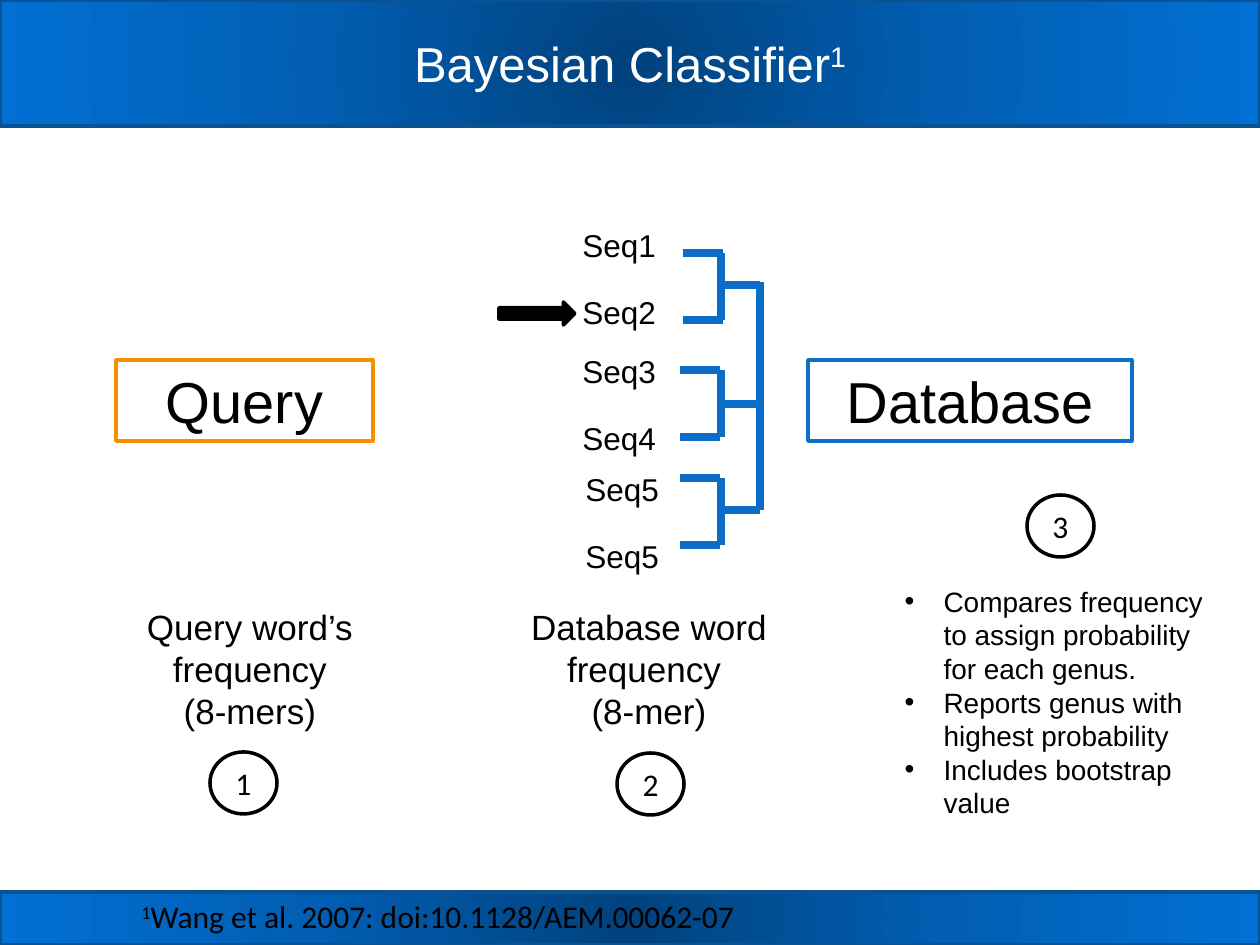
from lxml.etree import SubElement
from pptx import Presentation
from pptx.dml.color import RGBColor
from pptx.enum.shapes import MSO_CONNECTOR as Connector, MSO_SHAPE as Shape
from pptx.enum.text import MSO_ANCHOR as Anchor, MSO_AUTO_SIZE as AutoSize, PP_ALIGN as Align
from pptx.oxml import parse_xml
from pptx.oxml.ns import nsdecls, qn
from pptx.util import Pt

PX = 914400 / 126
BLACK, WHITE, BLUE, ORANGE = "000000", "FFFFFF", "0F6FC6", "F49100"
BRANCH, BAND_EDGE = "0A6DC6", "0B5292"
BAND_STOPS = ((0, "01427D"), (50, "015EB2"), (100, "0170D4"))


def px(*lengths):
    return [round(length * PX) for length in lengths]


def color(value):
    return RGBColor.from_string(value)


def place(part, box):
    part.left, part.top, part.width, part.height = px(*box)


def add_run(paragraph, text, size, font="Arial", ink=BLACK, raised=False):
    run = paragraph.add_run()
    run.text = text
    run.font.size = Pt(size)
    run.font.name = font
    run.font.color.rgb = color(ink)
    if raised:
        run._r.get_or_add_rPr().set("baseline", "30000")


def add_outlined(slide, kind, box, fill, edge):
    part = slide.shapes.add_shape(kind, *px(*box))
    part.shadow.inherit = False
    part.fill.solid()
    part.fill.fore_color.rgb = color(fill)
    part.line.color.rgb = color(edge)
    part.line.width = Pt(2)
    return part


def add_band(slide, box):
    band = add_outlined(slide, Shape.RECTANGLE, box, BLUE, BAND_EDGE)
    stops = "".join(
        f'<a:gs pos="{pos * 1000}"><a:srgbClr val="{value}"/></a:gs>'
        for pos, value in BAND_STOPS
    )
    gradient = parse_xml(
        f'<a:gradFill {nsdecls("a")} rotWithShape="1"><a:gsLst>{stops}</a:gsLst>'
        '<a:path path="circle"><a:fillToRect l="50000" t="50000" r="50000" b="50000"/>'
        "</a:path></a:gradFill>"
    )
    properties = band.element.spPr
    properties.replace(properties.find(qn("a:solidFill")), gradient)
    return band


def add_text(slide, box, lines, size, align=Align.LEFT):
    frame = slide.shapes.add_textbox(*px(*box)).text_frame
    frame.word_wrap = True
    for index, line in enumerate(lines):
        paragraph = frame.add_paragraph() if index else frame.paragraphs[0]
        paragraph.alignment = align
        add_run(paragraph, line, size)


def add_header(slide, box):
    title = slide.shapes.title
    title.element.addprevious(add_band(slide, box).element)
    left, top, width, height = box
    place(title, (left + 126, top, width - 252, height))
    title.text_frame.vertical_anchor = Anchor.MIDDLE
    heading = title.text_frame.paragraphs[0]
    heading.alignment = Align.CENTER
    add_run(heading, "Bayesian Classifier", 28, ink=WHITE)
    add_run(heading, "1", 28, ink=WHITE, raised=True)


def add_footer(slide, box):
    add_band(slide, box)
    left, top = box[:2]
    frame = slide.shapes.add_textbox(*px(left + 129, top - 1, 624, 49)).text_frame
    frame.word_wrap = False
    citation = frame.paragraphs[0]
    add_run(citation, "1", 18, "Calibri", raised=True)
    add_run(citation, "Wang et al. 2007: doi:10.1128/AEM.00062-07", 18, "Calibri")


def add_label_box(slide, box, label, edge):
    frame = add_outlined(slide, Shape.RECTANGLE, box, WHITE, edge).text_frame
    frame.vertical_anchor = Anchor.TOP
    frame.paragraphs[0].alignment = Align.CENTER
    add_run(frame.paragraphs[0], label, 33)


def add_step(slide, left, top, number):
    circle = add_outlined(slide, Shape.OVAL, (left, top, 67, 62), WHITE, BLACK)
    circle.text_frame.vertical_anchor = Anchor.MIDDLE
    circle.text_frame.paragraphs[0].alignment = Align.CENTER
    add_run(circle.text_frame.paragraphs[0], str(number), 18, "Calibri")


def add_branch(slide, x1, y1, x2, y2):
    branch = slide.shapes.add_connector(Connector.STRAIGHT, *px(x1, y1, x2, y2))
    branch.line.color.rgb = color(BRANCH)
    branch.line.width = Pt(4.5)
    SubElement(branch.element.spPr, qn("a:effectLst"))


def add_tree(slide, left, top):
    fork, spine = left + 222, left + 261
    clades = (
        (33, 65, 184, 71, 0, ("Seq1", "Seq2")),
        (150, 184, 181, 71, 126, ("Seq3", "Seq4")),
        (258, 290, 181, 74, 244, ("Seq5", "Seq5")),
    )
    add_branch(slide, spine, top + 62, spine, top + 290)
    for tip, join, tip_x, label_x, label_y, names in clades:
        add_branch(slide, fork, top + tip, fork, top + tip + 67)
        add_branch(slide, fork, top + join, spine, top + join)
        for index, name in enumerate(names):
            drop = 67 * index
            tip_y = top + tip + drop
            add_branch(slide, left + tip_x, tip_y, left + tip_x + 40, tip_y)
            label_box = (left + label_x, top + label_y + drop, 111, 50)
            add_text(slide, label_box, [name], 18)
    add_outlined(slide, Shape.RIGHT_ARROW, (left, top + 82, 76, 23), BLACK, BLACK)


def add_findings(slide, box):
    body = slide.placeholders[1]
    place(body, box)
    frame = body.text_frame
    frame.auto_size = AutoSize.NONE
    findings = (
        "Compares frequency to assign probability for each genus.",
        "Reports genus with highest probability",
        "Includes bootstrap value",
    )
    for index, finding in enumerate(findings):
        paragraph = frame.add_paragraph() if index else frame.paragraphs[0]
        paragraph.space_before = Pt(0)
        properties = paragraph._p.get_or_add_pPr()
        indent = px(39)[0]
        properties.set("marL", str(indent))
        properties.set("indent", str(-indent))
        SubElement(properties, qn("a:buFont")).set("typeface", "Arial")
        SubElement(properties, qn("a:buChar")).set("char", "•")
        add_run(paragraph, finding, 16)


def main():
    deck = Presentation()
    deck.slide_width, deck.slide_height = px(1260, 945)
    slide = deck.slides.add_slide(deck.slide_layouts[1])
    add_header(slide, (0, 0, 1260, 126))
    add_label_box(slide, (116, 360, 257, 81), "Query", ORANGE)
    add_label_box(slide, (808, 360, 324, 81), "Database", BLUE)
    add_tree(slide, 499, 220)
    add_footer(slide, (0, 892, 1260, 53))
    add_text(slide, (110, 599, 280, 139),
             ["Query word’s frequency", "(8-mers)"], 20, Align.CENTER)
    add_text(slide, (509, 599, 280, 139),
             ["Database word frequency ", "(8-mer)"], 20, Align.CENTER)
    add_findings(slide, (892, 578, 336, 249))
    for number, (left, top) in enumerate(((210, 752), (617, 753), (1027, 495)), 1):
        add_step(slide, left, top, number)
    deck.save("out.pptx")


if __name__ == "__main__":
    main()
